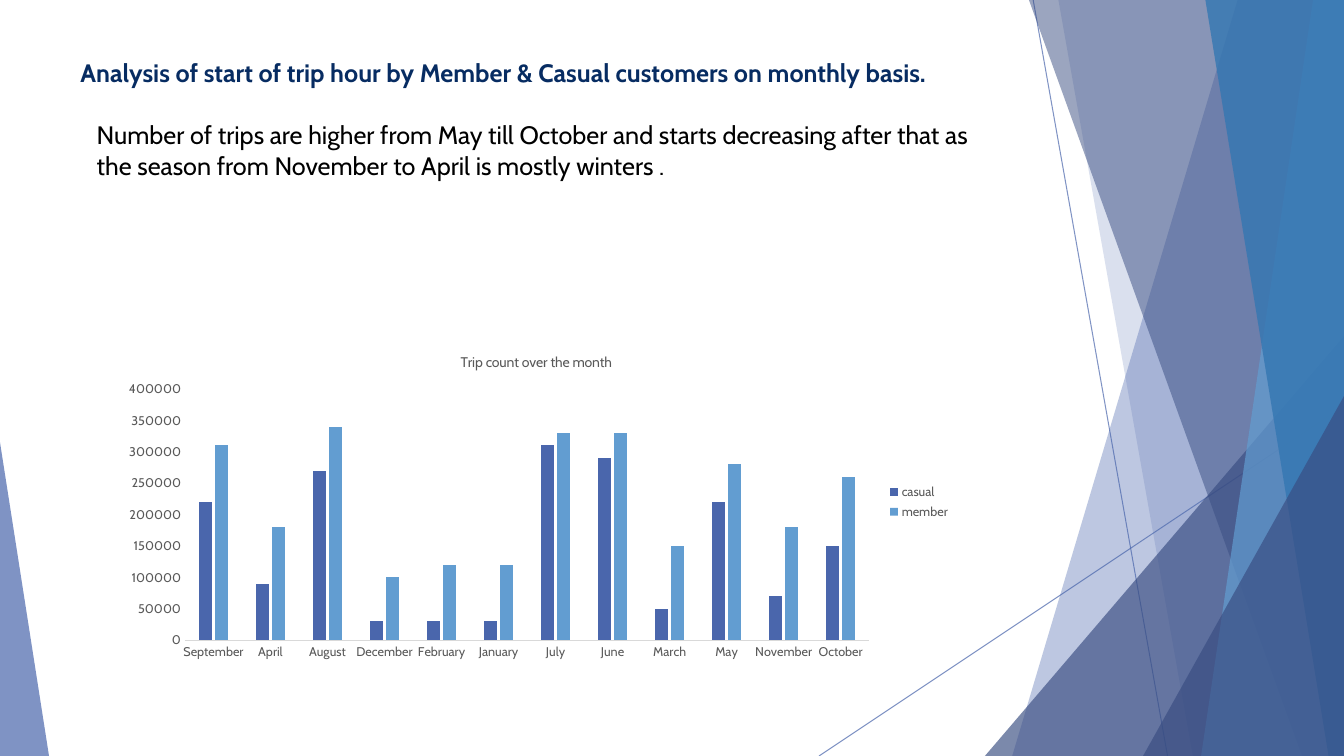
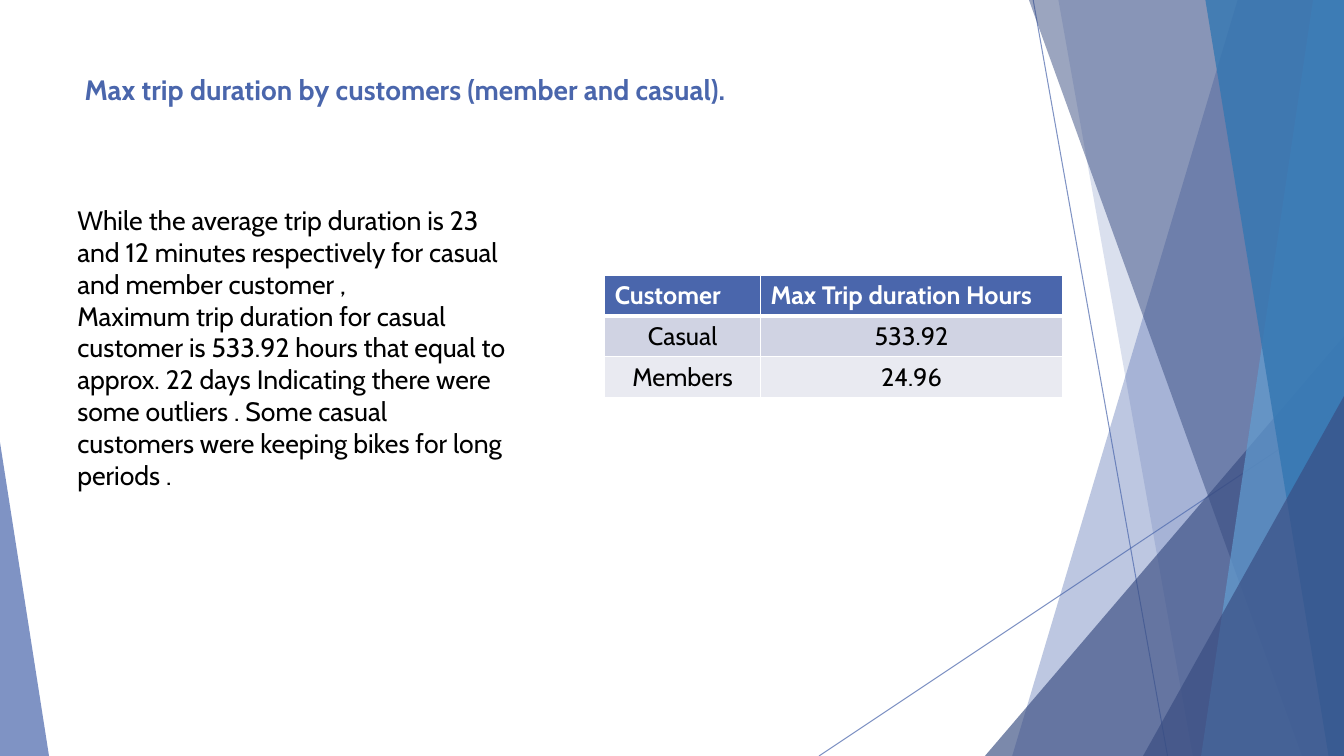
from lxml.etree import SubElement
from pptx import Presentation
from pptx.chart.data import CategoryChartData
from pptx.dml.color import RGBColor
from pptx.enum.chart import XL_CHART_TYPE, XL_LEGEND_POSITION, XL_TICK_MARK
from pptx.enum.shapes import MSO_CONNECTOR, MSO_SHAPE
from pptx.enum.text import PP_ALIGN
from pptx.oxml.ns import qn
from pptx.util import Pt

WIDTH, HEIGHT = 960, 540
FONT = "Cabin"
BLUE, DEEP, SKY, OCEAN = "4A66AC", "384C81", "629DD1", "3477B2"
NAVY, BLACK, WHITE, GREY, PALE = "072C62", "000000", "FFFFFF", "595959", "D9D9D9"
HEADER_FILL, ROW_FILLS = BLUE, ("D0D3E3", "E9EAF1")

RAYS = [(738, 0, 834, HEIGHT), (WIDTH, 290, 585, HEIGHT)]
BANDS_BEHIND = [(884, 723, BLUE, 36), (756, 852, BLUE, 20)]
BANDS_FRONT = [(735, 930, DEEP, 50), (938, 858, SKY, 70), (861, 949, OCEAN, 80)]
LARGE_WEDGE = (703.5, 240, 256.5, 300)
SMALL_WEDGE = (816.5, 283, 143.5, 257)
LEFT_WEDGE = (0, 316, 35, 224)

MONTHS = ["September", "April", "August", "December", "February", "January",
          "July", "June", "March", "May", "November", "October"]
TRIPS = {
    "casual": (BLUE, [220000, 90000, 270000, 30000, 30000, 30000,
                      310000, 290000, 50000, 220000, 70000, 150000]),
    "member": (SKY, [310000, 180000, 340000, 100000, 120000, 120000,
                     330000, 330000, 150000, 280000, 180000, 260000]),
}
DURATIONS = [("Customer", "Max Trip duration Hours"),
             ("Casual", "533.92"), ("Members", "24.96")]


def points(*values):
    return [Pt(value) for value in values]


def apply(target, formats):
    for name, value in formats.items():
        setattr(target, name, value)


def paint(fill, color, alpha=100):
    fill.solid()
    fill.fore_color.rgb = RGBColor.from_string(color)
    if alpha < 100:
        node = fill._xPr.find(qn("a:solidFill"))[0]
        SubElement(node, qn("a:alpha"), val=str(alpha * 1000))


def style_font(font, size, color, bold=False):
    apply(font, {"name": FONT, "size": Pt(size), "bold": bold})
    paint(font.fill, color)


def finish_shape(shape, color, alpha):
    shape.shadow.inherit = False
    paint(shape.fill, color, alpha)
    shape.line.fill.background()


def add_ray(page, ends):
    ray = page.shapes.add_connector(MSO_CONNECTOR.STRAIGHT, *points(*ends))
    ray.line.width = Pt(0.75)
    paint(ray.line.fill, BLUE, 70)
    SubElement(ray._element.spPr, qn("a:effectLst"))


def add_band(page, top, bottom, color, alpha):
    outline = page.shapes.build_freeform(top, 0, scale=Pt(1))
    outline.add_line_segments([(WIDTH, 0), (WIDTH, HEIGHT), (bottom, HEIGHT)])
    finish_shape(outline.convert_to_shape(), color, alpha)


def add_wedge(page, box, apex, color, alpha):
    wedge = page.shapes.add_shape(MSO_SHAPE.ISOSCELES_TRIANGLE, *points(*box))
    wedge.adjustments[0] = apex
    finish_shape(wedge, color, alpha)


def add_backdrop(page):
    for ends in RAYS:
        add_ray(page, ends)
    for band in BANDS_BEHIND:
        add_band(page, *band)
    add_wedge(page, LARGE_WEDGE, 1, DEEP, 66)
    for band in BANDS_FRONT:
        add_band(page, *band)
    add_wedge(page, SMALL_WEDGE, 1, DEEP, 66)
    add_wedge(page, LEFT_WEDGE, 0, BLUE, 70)


def add_text(page, box, lines, size, color=BLACK, bold=False):
    frame = page.shapes.add_textbox(*points(*box)).text_frame
    frame.word_wrap = True
    for index, line in enumerate(lines):
        para = frame.add_paragraph() if index else frame.paragraphs[0]
        span = para.add_run()
        span.text = line
        style_font(span.font, size, color, bold)


def add_title(page, box, title, size, color):
    add_text(page, box, [title], size, color, bold=True)


def add_trip_chart(page, box):
    data = CategoryChartData()
    data.categories = MONTHS
    for name, (_, values) in TRIPS.items():
        data.add_series(name, values)
    chart = page.shapes.add_chart(
        XL_CHART_TYPE.COLUMN_CLUSTERED, *points(*box), data).chart
    style_font(chart.font, 10, BLACK)

    chart.has_title = True
    para = chart.chart_title.text_frame.paragraphs[0]
    span = para.add_run()
    span.text = "Trip count over the month"
    style_font(span.font, 10, GREY)

    chart.has_legend = True
    apply(chart.legend, {"position": XL_LEGEND_POSITION.RIGHT,
                         "include_in_layout": False})
    style_font(chart.legend.font, 9, GREY)

    for axis in (chart.category_axis, chart.value_axis):
        apply(axis, {"major_tick_mark": XL_TICK_MARK.NONE,
                     "minor_tick_mark": XL_TICK_MARK.NONE,
                     "has_major_gridlines": False})
        style_font(axis.tick_labels.font, 9, GREY)
    apply(chart.value_axis, {"minimum_scale": 0, "maximum_scale": 400000,
                             "major_unit": 50000})
    chart.value_axis.format.line.fill.background()
    axis_line = chart.category_axis.format.line
    axis_line.width = Pt(0.75)
    paint(axis_line.fill, PALE)

    plot = chart.plots[0]
    apply(plot, {"gap_width": 219, "overlap": -27, "vary_by_categories": False})
    for series in plot.series:
        paint(series.format.fill, TRIPS[series.name][0])


def add_cell_borders(cell, bottom):
    properties = cell._tc.get_or_add_tcPr()
    for side, width in (("L", 1), ("R", 1), ("T", 1), ("B", bottom)):
        border = SubElement(properties, qn(f"a:ln{side}"), w=str(Pt(width)))
        fill = SubElement(border, qn("a:solidFill"))
        SubElement(fill, qn("a:srgbClr"), val=WHITE)


def add_duration_table(page, box):
    table = page.shapes.add_table(
        len(DURATIONS), len(DURATIONS[0]), *points(*box)).table
    apply(table, {"first_row": False, "horz_banding": False})
    for column, share in zip(table.columns, (0.34, 0.66)):
        column.width = Pt(box[2] * share)
    for row_index, values in enumerate(DURATIONS):
        header = row_index == 0
        for column_index, value in enumerate(values):
            cell = table.cell(row_index, column_index)
            add_cell_borders(cell, 3 if header or row_index == 0 else 1)
            if row_index == 1:
                top = cell._tc.tcPr.find(qn("a:lnT"))
                top.set("w", str(Pt(3)))
            paint(cell.fill, HEADER_FILL if header else ROW_FILLS[row_index - 1])
            para = cell.text_frame.paragraphs[0]
            para.alignment = PP_ALIGN.LEFT if header else PP_ALIGN.CENTER
            span = para.add_run()
            span.text = value
            style_font(span.font, 18, WHITE if header else BLACK, header)


def add_page(deck):
    page = deck.slides.add_slide(deck.slide_layouts[6])
    paint(page.background.fill, WHITE)
    add_backdrop(page)
    return page


def build_monthly_page(deck):
    page = add_page(deck)
    add_title(page, (50.4, 37.4, 677, 35),
              "Analysis of start of trip hour by Member & Casual customers "
              "on monthly basis.", 18, NAVY)
    add_trip_chart(page, (80, 241, 606, 235))
    add_text(page, (62, 82, 644, 73),
             ["Number of trips are higher from May till October and starts "
              "decreasing after that as the season from November to April "
              "is mostly winters ."], 18)


def build_duration_page(deck):
    page = add_page(deck)
    add_title(page, (53.3, 48.2, 677, 35),
              "Max trip duration by customers (member and casual).", 20, BLUE)
    add_duration_table(page, (432, 196.5, 327, 87.5))
    add_text(page, (48.2, 142, 321, 215),
             ["While the average trip duration is 23 and 12 minutes "
              "respectively for casual and member customer ,",
              "Maximum trip duration for casual customer is 533.92 hours that "
              "equal to approx. 22 days Indicating there were some outliers . "
              "Some casual customers were keeping bikes for long periods ."], 19)


def main():
    deck = Presentation()
    apply(deck, {"slide_width": Pt(WIDTH), "slide_height": Pt(HEIGHT)})
    build_monthly_page(deck)
    build_duration_page(deck)
    deck.save("out.pptx")


if __name__ == "__main__":
    main()
